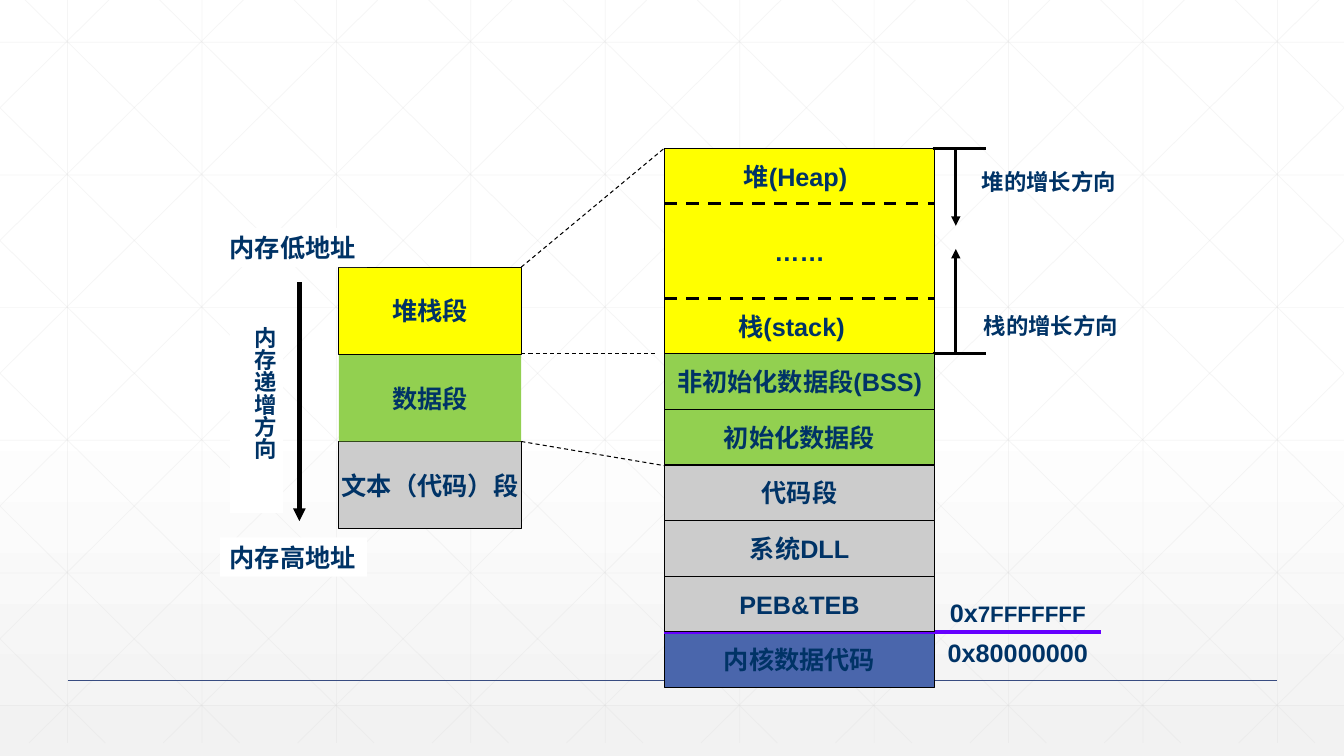
from lxml import etree
from pptx import Presentation
from pptx.dml.color import RGBColor
from pptx.enum.dml import MSO_LINE
from pptx.enum.shapes import MSO_CONNECTOR, MSO_SHAPE
from pptx.enum.text import MSO_ANCHOR, PP_ALIGN
from pptx.oxml.ns import qn
from pptx.util import Inches, Pt

RECT = MSO_SHAPE.RECTANGLE
LINE = MSO_CONNECTOR.STRAIGHT
DASH = MSO_LINE.DASH
MID, TOP = MSO_ANCHOR.MIDDLE, MSO_ANCHOR.TOP
CENTER, JUST = PP_ALIGN.CENTER, PP_ALIGN.JUSTIFY

BLACK = RGBColor(0x00, 0x00, 0x00)
WHITE = RGBColor(0xFF, 0xFF, 0xFF)
PALE = RGBColor(0xF2, 0xF2, 0xF2)
MESH = RGBColor(0xD9, 0xD9, 0xD9)
NAVY = RGBColor(0x00, 0x33, 0x66)
RULE = RGBColor(0x38, 0x4C, 0x81)
BLUE = RGBColor(0x4A, 0x66, 0xAC)
YELLOW = RGBColor(0xFF, 0xFF, 0x00)
GREEN = RGBColor(0x92, 0xD0, 0x50)
GRAY = RGBColor(0xCC, 0xCC, 0xCC)
PURPLE = RGBColor(0x66, 0x00, 0xFF)

WIDE, HIGH = 13.33, 7.5
deck = Presentation()
deck.slide_width, deck.slide_height = Inches(WIDE), Inches(HIGH)
slide = deck.slides.add_slide(deck.slide_layouts[6])
shapes = slide.shapes


def wire(x1, y1, x2, y2, color=BLACK, width=2.25, dash=None, arrow=False, alpha=None):
    item = shapes.add_connector(LINE, *map(Inches, (x1, y1, x2, y2)))
    item.line.color.rgb = color
    item.line.width = Pt(width)
    if dash:
        item.line.dash_style = dash
    props = item.element.spPr
    if alpha:
        for tint in props.iter(qn("a:srgbClr")):
            etree.SubElement(tint, qn("a:alpha"), val=str(alpha * 1000))
    if arrow:
        etree.SubElement(props.get_or_add_ln(), qn("a:tailEnd"), type="triangle")
    etree.SubElement(props, qn("a:effectLst"))


def box(x, y, w, h, runs, fill=None, edge=False, font="Arial", anchor=MID,
        align=CENTER, wrap=False):
    place = [Inches(v) for v in (x, y, w, h)]
    if fill is None:
        item = shapes.add_textbox(*place)
    else:
        item = shapes.add_shape(RECT, *place)
        item.shadow.inherit = False
        item.fill.solid()
        item.fill.fore_color.rgb = fill
        if edge:
            item.line.color.rgb = BLACK
            item.line.width = Pt(0.75)
        else:
            item.line.fill.background()
    frame = item.text_frame
    for key, value in {"word_wrap": wrap, "vertical_anchor": anchor}.items():
        setattr(frame, key, value)
    para = frame.paragraphs[0]
    para.alignment = align
    for text, size in runs:
        run = para.add_run()
        run.text = text
        for key, value in {"name": font, "size": Pt(size), "bold": True}.items():
            setattr(run.font, key, value)
        run.font.color.rgb = NAVY
    return item


# Background gradient
back = slide.background.fill
back.gradient()
back.gradient_angle = 270
for stop, (spot, color) in zip(back.gradient_stops, [(0.53, WHITE), (1, PALE)]):
    stop.position = spot
    stop.color.rgb = color

# Background mesh: uprights, levels and mirrored diagonals
mesh = {"color": MESH, "width": 0.5, "alpha": 25}
STEP, FOOT, SPAN = 4 / 3, 7.37, 7.46
for i in range(10):
    x = 0.67 + STEP * i
    wire(x, 0, x, FOOT, **mesh)
for i in range(6):
    y = 0.42 + 1.316 * i
    wire(0, y, WIDE, y, **mesh)
for i in range(-5, 10):
    start = 0.25 + STEP * i
    x1, x2 = max(start, 0), min(start + SPAN, WIDE)
    y1, y2 = [(x - start) * FOOT / SPAN for x in (x1, x2)]
    wire(x1, y1, x2, y2, **mesh)
    wire(WIDE - x1, y1, WIDE - x2, y2, **mesh)
wire(0.67, 6.75, 12.67, 6.75, RULE, 1)

# Memory stack: columns and row rules
LEFT, LWIDE, LTOP, LROW = 3.36, 1.81, 2.65, 0.865
RIGHT, RWIDE, HEAP, SPLIT, ROW = 6.59, 2.68, 1.47, 3.51, 0.552
EDGE = RIGHT + RWIDE
box(RIGHT, HEAP, RWIDE, SPLIT - HEAP, [("……", 18)], YELLOW, True)

# Left column, lowest segment first
parts = [("堆栈段", YELLOW, True), ("数据段", GREEN, False), ("文本（代码）段", GRAY, True)]
for i, (text, fill, edge) in reversed(list(enumerate(parts))):
    box(LEFT, LTOP + LROW * i, LWIDE, LROW, [(text, 18)], fill, edge)

# Address labels and direction arrow
note = {"font": "Times New Roman", "anchor": TOP, "align": JUST, "wrap": True}
for y, text in [(2.26, "内存低地址"), (5.33, "内存高地址")]:
    box(2.18, y, 1.46, 0.39, [(text, 18)], WHITE, **note)
wire(2.97, 2.8, 2.97, 5.17, width=3, arrow=True)
grow = box(2.28, 3.14, 0.53, 1.95, [("内存递增方向", 16)], WHITE, **note)
grow.element.txBody.bodyPr.set("vert", "eaVert")

# Heap and stack areas
box(RIGHT, 1.39, 2.6, 0.71, [("堆(Heap)", 18)])
box(6.51, 2.88, RWIDE, 0.71, [("栈(stack)", 18)])
for y in (2.96, 2.02):
    wire(RIGHT, y, EDGE, y, dash=DASH)

# Growth directions
for x, y, text, base, tip in [(9.64, 1.62, "堆的增长方向", HEAP, 2.24),
                              (9.66, 3.05, "栈的增长方向", SPLIT, 2.47)]:
    box(x, y, 1.6, 0.39, [(text, 16)], **note)
    wire(9.25, base, 9.78, base)
    wire(9.48, base, 9.48, tip, arrow=True)

# Links between the columns
for y1, x2, y2 in [(SPLIT, 6.51, SPLIT), (LTOP, RIGHT, HEAP), (4.38, RIGHT, 4.62)]:
    wire(LEFT + LWIDE, y1, x2, y2, width=0.75, dash=DASH)

# Right column rows, with the kernel boundary beneath the user rows
KERNEL = SPLIT + 5 * ROW
rows = [(5, "内核数据代码", BLUE), (1, "初始化数据段", GREEN), (0, "非初始化数据段(BSS)", GREEN),
        (4, "PEB&TEB", GRAY), (3, "系统DLL", GRAY), (2, "代码段", GRAY)]
for i, text, fill in rows:
    box(RIGHT, SPLIT + ROW * i, RWIDE, ROW, [(text, 18)], fill, True)
    if i == 5:
        wire(10.92, KERNEL, RIGHT, KERNEL, PURPLE, 3)

# Boundary addresses
box(9.11, 6.27, 1.97, 0.41, [("0x80000000", 18)], anchor=TOP, wrap=True)
box(9.03, 5.88, 2.13, 0.41, [("0x", 18), ("7FFFFFFF", 16)], anchor=TOP, wrap=True)

deck.save("out.pptx")
